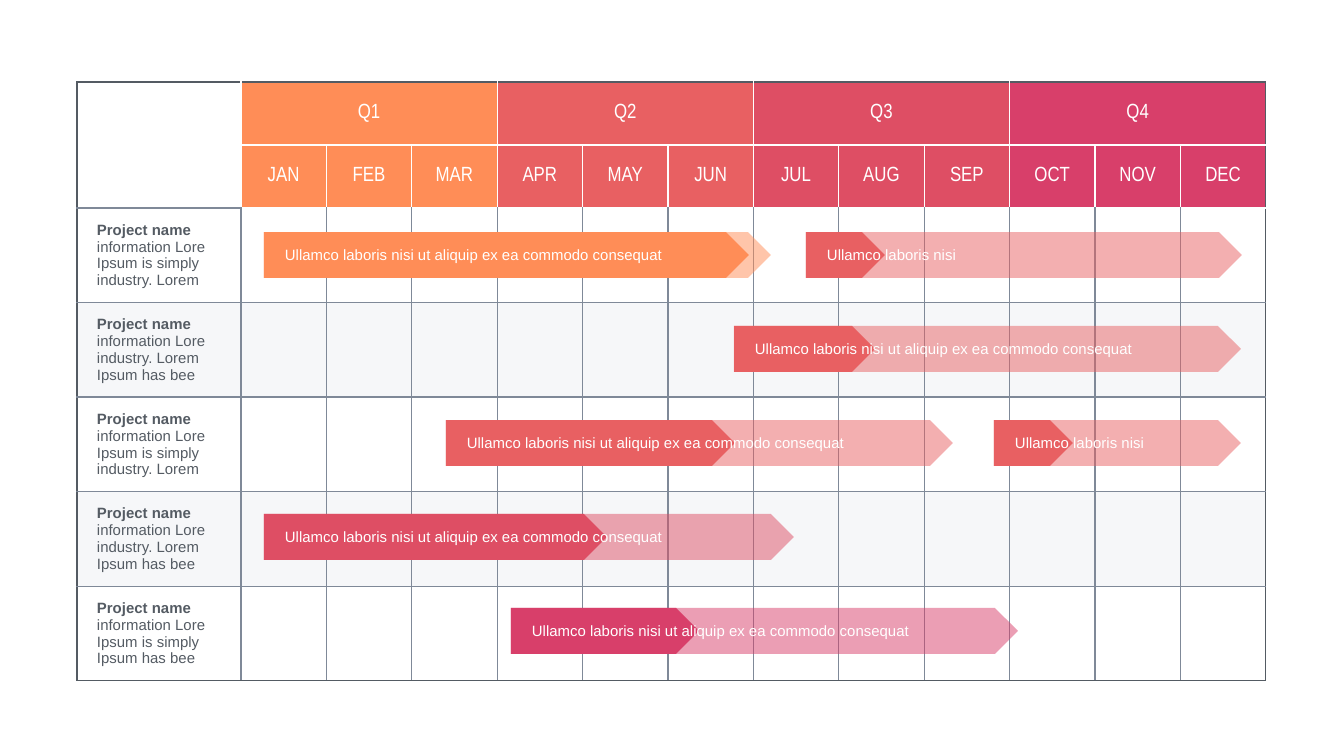
import pptx
import pptx.util
import pptx.dml.color
import pptx.enum.shapes
import pptx.enum.text
import pptx.oxml
import pptx.oxml.ns

SCALE = 914400 / 134.4  # EMU in one px
COLORS = {
    "orange": "FF8D57", "coral": "E86062", "red": "DE4E64", "pink": "D83F6A",
    "white": "FFFFFF", "band": "EEF0F4", "dark": "545B63", "grid": "7F8998",
}
QUARTERS = ["orange", "coral", "red", "pink"]
MONTHS = ["JAN", "FEB", "MAR", "APR", "MAY", "JUN",
          "JUL", "AUG", "SEP", "OCT", "NOV", "DEC"]
PROJECTS = [
    "information Lore Ipsum is simply industry. Lorem",
    "information Lore industry. Lorem Ipsum has bee",
    "information Lore Ipsum is simply industry. Lorem",
    "information Lore industry. Lorem Ipsum has bee",
    "information Lore Ipsum is simply Ipsum has bee",
]
LONG = "Ullamco laboris nisi ut aliquip ex ea commodo consequat"
SHORT = "Ullamco laboris nisi"


def px(length):
    return pptx.util.Emu(round(length * SCALE))


def paint(fill, color, opacity=100):
    fill.solid()
    fill.fore_color.rgb = pptx.dml.color.RGBColor.from_string(COLORS[color])
    if opacity < 100:
        for tone in fill._xPr.iter(pptx.oxml.ns.qn("a:srgbClr")):
            alpha = tone.makeelement(pptx.oxml.ns.qn("a:alpha"), {"val": str(opacity * 1000)})
            tone.append(alpha)


deck = pptx.Presentation()
deck.slide_width, deck.slide_height = px(1344), px(756)
page = deck.slides.add_slide(deck.slide_layouts[6])

# Year grid: two header rows and one row per project
table = page.shapes.add_table(7, 13, px(77), px(82), px(1189), px(599)).table
table.first_row = table.horz_banding = False
for index, column in enumerate(table.columns):
    column.width = px(1025 / 12 if index else 164)
for index, row in enumerate(table.rows):
    row.height = px(63 if index < 2 else 473 / 5)

table.cell(0, 0).merge(table.cell(1, 0))
for first in range(1, 13, 3):
    table.cell(0, first).merge(table.cell(0, first + 2))

for row in range(7):
    for column in range(13):
        cell = table.cell(row, column)
        header = row < 2 and column > 0
        cell.vertical_anchor = pptx.enum.text.MSO_ANCHOR.MIDDLE
        cell.margin_left = px(20 if column == 0 else 5)
        cell.margin_right = px(5)
        cell.margin_top = cell.margin_bottom = px(3)

        # Fill
        if header:
            paint(cell.fill, QUARTERS[(column - 1) // 3])
        elif row < 2:
            cell.fill.background()
        else:
            paint(cell.fill, "band" if row in (3, 5) else "white",
                  50 if row in (3, 5, 6) else 100)

        # Text
        para = cell.text_frame.paragraphs[0]
        if header and not cell.is_spanned:
            para.text = MONTHS[column - 1] if row else f"Q{column // 3 + 1}"
            para.alignment = pptx.enum.text.PP_ALIGN.CENTER
            para.font.size = pptx.util.Pt(11)
            para.font.name = "Arial Narrow"
            para.font.color.rgb = pptx.dml.color.RGBColor.from_string(COLORS["white"])
        elif row > 1 and column == 0:
            for words, bold in (("Project name ", True), (PROJECTS[row - 2], False)):
                span = para.add_run()
                span.text = words
                span.font.bold = bold
            para.font.size = pptx.util.Pt(8)
            para.font.name = "Arial"
            para.font.color.rgb = pptx.dml.color.RGBColor.from_string(COLORS["dark"])

        # Borders: dark outside, white in the header, grey elsewhere
        last = column + (cell.span_width if cell.is_merge_origin else 1) - 1
        side = "white" if row < 2 else "grid"
        borders = {
            "lnL": "dark" if column == 0 else side,
            "lnR": "dark" if last == 12 else side,
            "lnT": "dark" if row == 0 else "white" if column and row < 3 else "grid",
            "lnB": "dark" if row == 6 else "white" if header else "grid",
        }
        properties = cell._tc.get_or_add_tcPr()
        for place, (edge, color) in enumerate(borders.items()):
            properties.insert(place, pptx.oxml.parse_xml(
                f'<a:{edge} {pptx.oxml.ns.nsdecls("a")} w="9525"><a:solidFill>'
                f'<a:srgbClr val="{COLORS[color]}"/></a:solidFill></a:{edge}>'))

# Task bars: project row, left, full length, finished length, color, label
BARS = [
    (1, 734, 507, 141, "coral", LONG),
    (0, 264, 507, 485, "orange", LONG),
    (3, 264, 530, 343, "red", LONG),
    (4, 511, 507, 188, "pink", LONG),
    (2, 446, 507, 289, "coral", LONG),
    (2, 994, 247, 79, "coral", SHORT),
    (0, 806, 436, 79, "coral", SHORT),
]
for row, left, length, finished, color, label in BARS:
    top = 232 + 94 * row
    group = page.shapes.add_group_shape()
    for width, opacity in ((length, 50), (finished, 100)):
        bar = group.shapes.add_shape(pptx.enum.shapes.MSO_SHAPE.PENTAGON,
                                     px(left), px(top), px(width), px(46))
        bar.shadow.inherit = False
        bar.line.fill.background()
        paint(bar.fill, color, opacity)

    box = group.shapes.add_textbox(px(left + 16), px(top + 11),
                                   px(418 if label == LONG else 192), px(24))
    frame = box.text_frame
    frame.word_wrap = True
    frame.margin_left = frame.margin_right = px(5)
    frame.margin_top = frame.margin_bottom = px(3)
    para = frame.paragraphs[0]
    para.text = label
    para.font.size = pptx.util.Pt(8)
    para.font.name = "Arial"
    para.font.color.rgb = pptx.dml.color.RGBColor.from_string(COLORS["white"])

deck.save("out.pptx")
